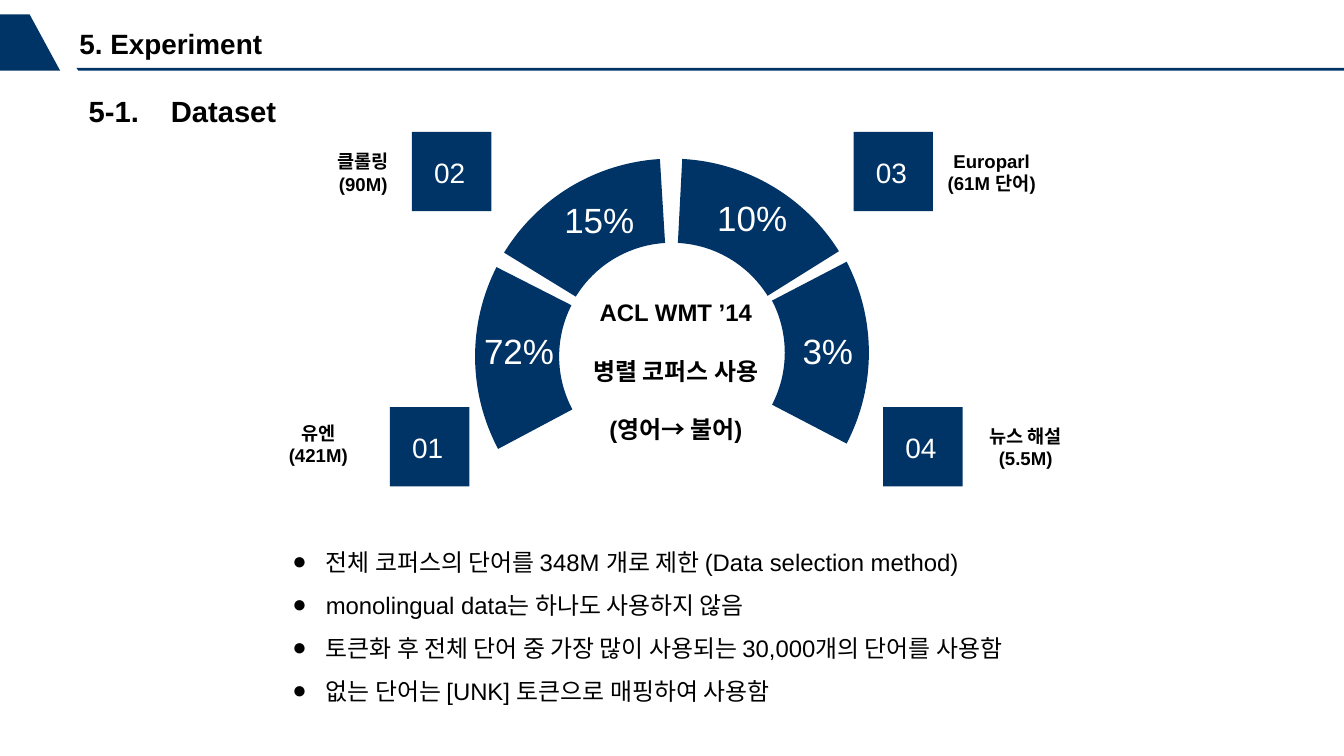
import math

from lxml import etree
from pptx import Presentation
from pptx.dml.color import RGBColor
from pptx.enum.shapes import MSO_SHAPE
from pptx.enum.text import MSO_ANCHOR, PP_ALIGN
from pptx.oxml.ns import qn
from pptx.util import Emu, Pt

PX = 9144  # 100 px to the inch
NAVY, BLACK, WHITE = "003366", "000000", "FFFFFF"
FONT = "Arial"
ROUNDED = MSO_SHAPE.ROUNDED_RECTANGLE
LEFT, CENTER = PP_ALIGN.LEFT, PP_ALIGN.CENTER
TOP, MIDDLE, BOTTOM = MSO_ANCHOR.TOP, MSO_ANCHOR.MIDDLE, MSO_ANCHOR.BOTTOM

# Half ring: centre x, outer and inner radius
RING_X, RING_OUTER, RING_INNER = 703, 206, 118
# share, start and end angle, centre y, left and top of the share label
SEGMENTS = [
    ("72%", 152, 207, 373, 497, 354),
    ("15%", 211.5, 266.5, 372, 581, 217),
    ("10%", 273, 328, 372, 741, 215),
    ("3%", 332.5, 387.5, 369, 820, 354),
]
# number, left and top of the badge, label lines, label box
CORPORA = [
    ("01", 408, 426, ["유엔", "(421M)"], (258, 445, 150, 39)),
    ("02", 431, 138, ["클롤링", "(90M)"], (329, 151, 102, 59)),
    ("03", 893, 138, ["Europarl", "(61M 단어)"], (976, 147, 123, 66)),
    ("04", 924, 426, ["뉴스 해설", "(5.5M)"], (1022, 448, 102, 39)),
]
NOTES = [
    "전체 코퍼스의 단어를 348M 개로 제한 (Data selection method)",
    "monolingual data는 하나도 사용하지 않음",
    "토큰화 후 전체 단어 중 가장 많이 사용되는 30,000개의 단어를 사용함",
    "없는 단어는 [UNK] 토큰으로 매핑하여 사용함",
]


def px(length):
    return Emu(round(length * PX))


def rgb(hex_color):
    return RGBColor.from_string(hex_color)


def paint(shape, color=NAVY):
    shape.shadow.inherit = False
    shape.line.fill.background()
    if color:
        shape.fill.solid()
        shape.fill.fore_color.rgb = rgb(color)
    else:
        shape.fill.background()


def add_bullet(paragraph):
    properties = paragraph._p.get_or_add_pPr()
    properties.set("marL", str(px(50)))
    properties.set("indent", str(px(-35)))
    color = etree.SubElement(properties, qn("a:buClr"))
    etree.SubElement(color, qn("a:srgbClr")).set("val", BLACK)
    etree.SubElement(properties, qn("a:buFont")).set("typeface", FONT)
    etree.SubElement(properties, qn("a:buChar")).set("char", "●")


def add_tab(paragraph, position):
    tabs = etree.SubElement(paragraph._p.get_or_add_pPr(), qn("a:tabLst"))
    tab = etree.SubElement(tabs, qn("a:tab"))
    tab.set("pos", str(px(position)))
    tab.set("algn", "l")


def write(shape, lines, size, color=BLACK, bold=False, align=CENTER,
          anchor=MIDDLE, insets=(0, 0, 0, 0), spacing=1.0, gap=0,
          bullets=False, tab=None):
    frame = shape.text_frame
    frame.word_wrap = True
    frame.vertical_anchor = anchor
    (frame.margin_left, frame.margin_top,
     frame.margin_right, frame.margin_bottom) = map(px, insets)
    for index, line in enumerate(lines):
        paragraph = frame.add_paragraph() if index else frame.paragraphs[0]
        paragraph.text = line
        paragraph.alignment = align
        paragraph.line_spacing = spacing
        if index and gap:
            paragraph.space_before = Pt(gap)
        if bullets:
            add_bullet(paragraph)
        if tab:
            add_tab(paragraph, tab)
        font = paragraph.font
        font.name, font.size, font.bold = FONT, Pt(size), bold
        font.color.rgb = rgb(color)


def add_text(slide, box, lines, size, **text_format):
    write(slide.shapes.add_textbox(*map(px, box)), lines, size, **text_format)


def add_outline(slide, points, color=NAVY):
    corners = [(px(x), px(y)) for x, y in points]
    builder = slide.shapes.build_freeform(*corners[0], scale=1.0)
    builder.add_line_segments(corners[1:], close=True)
    outline = builder.convert_to_shape()
    paint(outline, color)
    return outline


def polar(center_y, radius, angle):
    return (RING_X + radius * math.cos(angle),
            center_y + radius * math.sin(angle))


def arc_controls(center_y, radius, start, end):
    """Control points of the cubic curve that follows the arc."""
    reach = 4 / 3 * math.tan((end - start) / 4)
    length = radius * math.hypot(1, reach)
    turn = math.atan(reach)
    return [polar(center_y, length, start + turn),
            polar(center_y, length, end - turn)]


def bend(shape, middle, end, controls):
    """Replace the two lines through an arc's middle by one curve."""
    curve = etree.Element(qn("a:cubicBezTo"))
    for x, y in controls:
        point = etree.SubElement(curve, qn("a:pt"))
        point.set("x", str(px(x) - shape.left))
        point.set("y", str(px(y) - shape.top))
    curve.append(end[0])
    middle.getparent().replace(middle, curve)
    end.getparent().remove(end)


def add_segment(slide, share, start, end, center_y, left, top):
    start, end = math.radians(start), math.radians(end)
    arcs = [(RING_OUTER, start, end), (RING_INNER, end, start)]
    segment = add_outline(slide, [
        polar(center_y, radius, angle) for radius, first, last in arcs
        for angle in (first, (first + last) / 2, last)])
    lines = list(segment._element.iter(qn("a:lnTo")))
    for (radius, first, last), index in zip(arcs, (0, 3)):
        bend(segment, lines[index], lines[index + 1],
             arc_controls(center_y, radius, first, last))
    right, bottom = left + 92, top + 35
    label = add_outline(slide, [(left, top), (right, top), (right, bottom),
                                (left, bottom)], color=None)
    write(label, [share], 26.4, color=WHITE, anchor=BOTTOM, spacing=1.2)


def add_corpus(slide, number, left, top, label, label_box):
    badge = slide.shapes.add_shape(ROUNDED, *map(px, (left, top, 83, 83)))
    badge.adjustments[0] = 0
    paint(badge)
    add_text(slide, (left + 6, top + 11, 67, 55), [number], 21.1,
             color=WHITE, spacing=1.2, insets=(0, 11, 0, 11))
    add_text(slide, label_box, label, 14, bold=True, insets=(0, 11, 0, 11))


def main():
    deck = Presentation()
    deck.slide_width, deck.slide_height = px(1406), px(791)
    slide = deck.slides.add_slide(deck.slide_layouts[6])

    # Half ring of shares with its corpora
    for segment in SEGMENTS:
        add_segment(slide, *segment)
    for corpus in CORPORA:
        add_corpus(slide, *corpus)

    # Header
    add_outline(slide, [(80, 71), (1406, 71), (1406, 74), (82, 74)])
    add_outline(slide, [(31, 15), (63, 74), (0, 74), (0, 15)])

    # Centre of the ring and notes on the data
    add_text(slide, (543, 286, 328, 175),
             ["ACL WMT ’14", "병렬 코퍼스 사용", "(영어→ 불어)"], 18, bold=True,
             anchor=TOP, insets=(10, 10, 10, 10), spacing=1.5, gap=12)
    add_text(slide, (281, 543, 843, 209), NOTES, 18, align=LEFT,
             insets=(10, 10, 10, 10), spacing=1.5, bullets=True)

    # Titles
    add_text(slide, (83, 28, 502, 35), ["5. Experiment"], 21, bold=True,
             align=LEFT, anchor=TOP)
    add_text(slide, (83, 88, 594, 57), ["5-1.\tDataset"], 22, bold=True,
             align=LEFT, anchor=TOP, insets=(10, 10, 10, 10), tab=86)

    deck.save("out.pptx")


if __name__ == "__main__":
    main()
